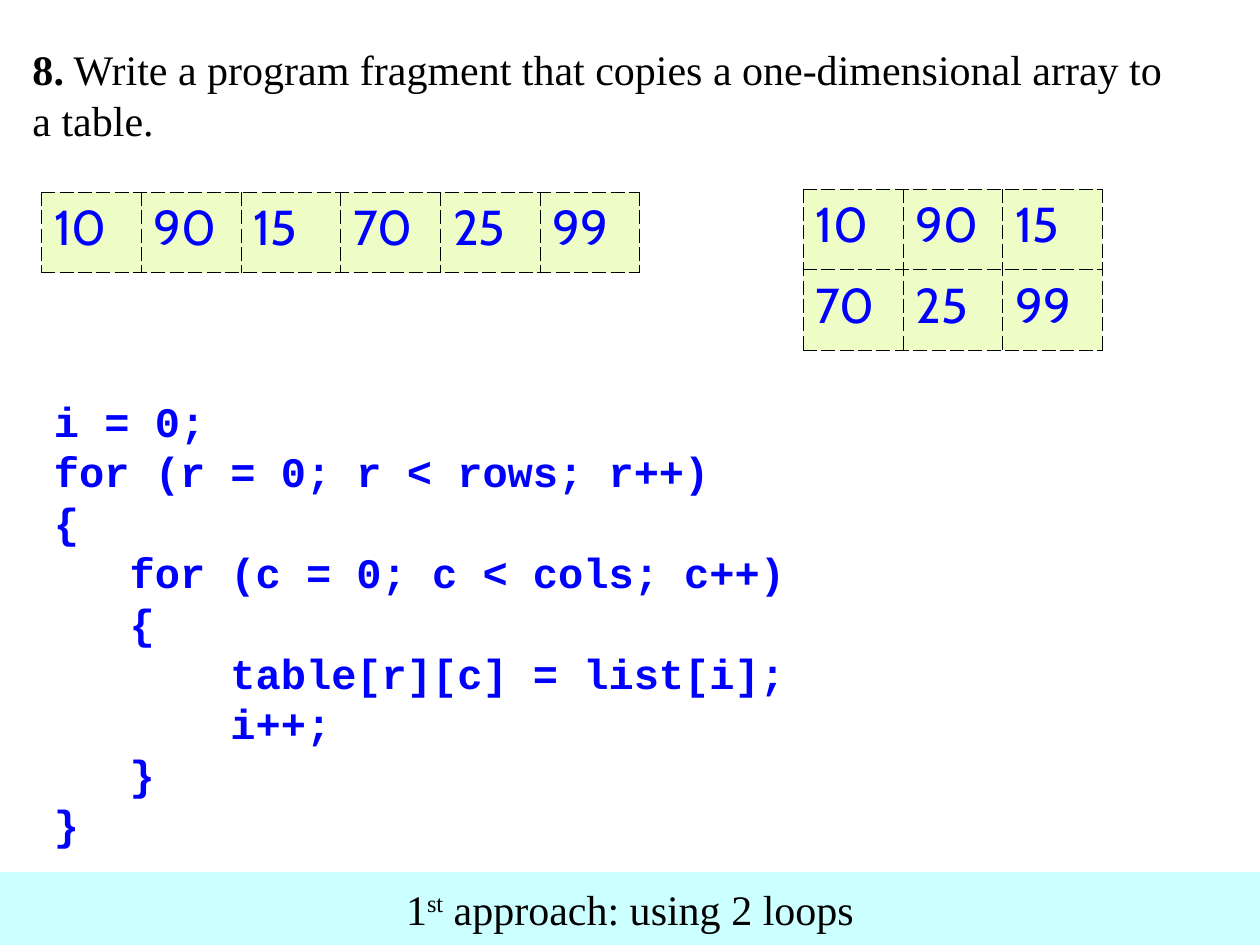
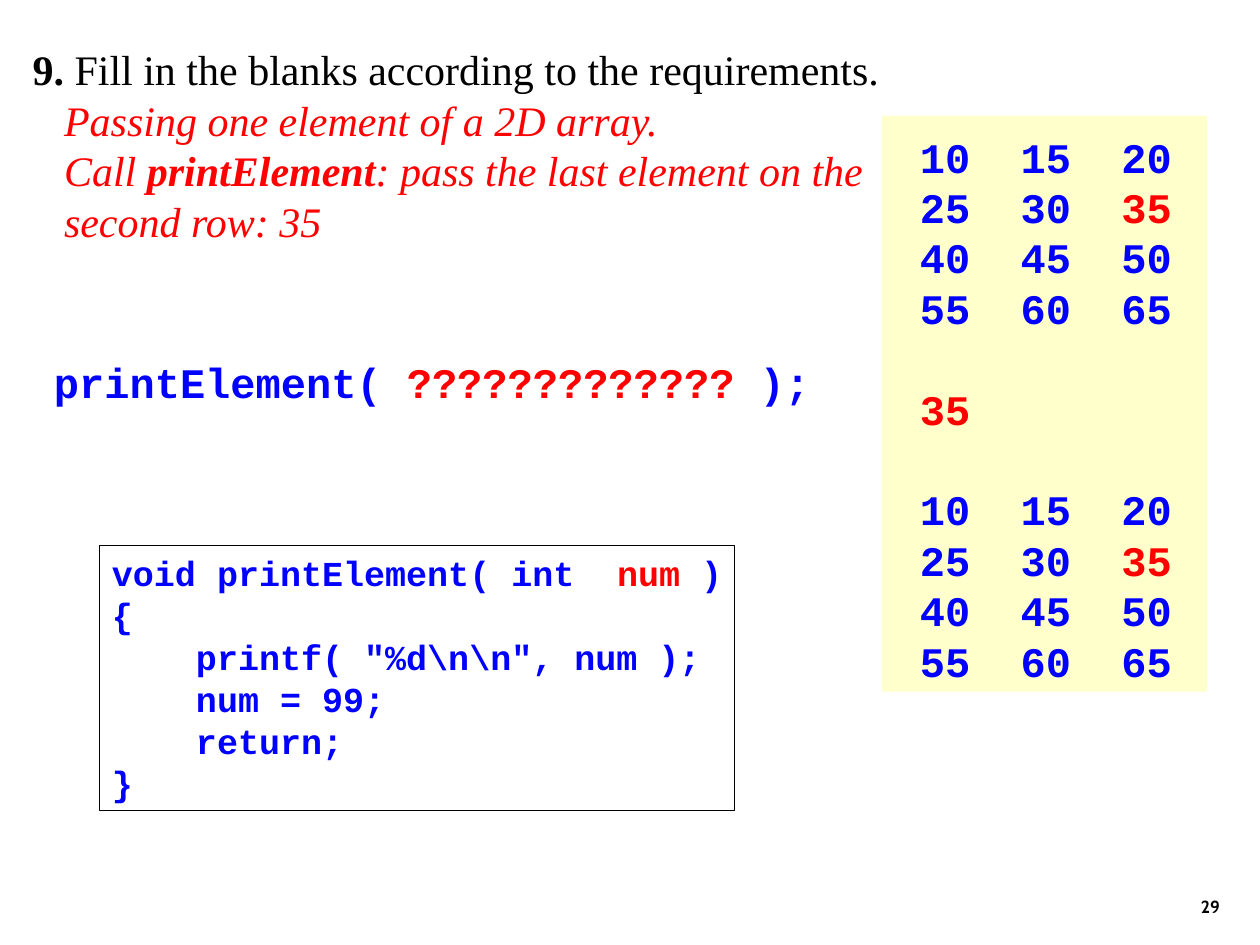
from dataclasses import dataclass

from lxml import etree
from pptx import Presentation
from pptx.dml.color import RGBColor
from pptx.enum.shapes import MSO_SHAPE
from pptx.enum.text import MSO_ANCHOR, PP_ALIGN
from pptx.oxml.ns import qn
from pptx.util import Inches, Pt

RECT = MSO_SHAPE.RECTANGLE
TOP, MIDDLE, BOTTOM = MSO_ANCHOR.TOP, MSO_ANCHOR.MIDDLE, MSO_ANCHOR.BOTTOM
LEFT, CENTER, RIGHT = PP_ALIGN.LEFT, PP_ALIGN.CENTER, PP_ALIGN.RIGHT
WIDTH, HEIGHT = Inches(10), Inches(7.5)
COLUMNS, ROWS = 100, 75


@dataclass(frozen=True)
class Theme:
    black: str = "000000"
    blue: str = "0000FF"
    red: str = "FF0000"
    band: str = "CCFFFF"
    output: str = "FFFFCC"
    cell: str = "EEFDC5"
    serif: str = "Times New Roman"
    mono: str = "Courier New"
    sans: str = "Cabin"
    body: int = 24
    small: int = 20
    number: int = 28
    page: int = 10
    leading: float = 1.2


T = Theme()
PROSE = {"name": T.serif, "size": T.body, "color": T.black}
STRONG = {**PROSE, "bold": True}
HINT = {**PROSE, "color": T.red, "italic": True}
STRONG_HINT = {**HINT, "bold": True}
RAISED = {**PROSE, "baseline": "30000"}
CODE = {"name": T.mono, "size": T.body, "color": T.blue, "bold": True}
MARK = {**CODE, "color": T.red}
SMALL_CODE = {**CODE, "size": T.small}
SMALL_MARK = {**MARK, "size": T.small}
NUMBER = {"name": T.sans, "size": T.number, "color": T.blue}
PAGE = {"name": T.sans, "size": T.page, "color": T.black, "bold": True}

TITLE_BOX = (1.6, 3, 92.7, 9)
HINT_TITLE_BOX = (1.6, 3, 69.2, 17)
LIST_BOX = (3.3, 15.25, 47.5, 6.4)
TABLE_BOX = (63.75, 15, 23.75, 12.8)
LOOPS_BOX = (3.3, 30.9, 62.5, 37)
BAND_BOX = (0, 69.2, 100, 5.8)
OUTPUT_BOX = (70, 9.2, 25.8, 45.7)
CALL_BOX = (3.3, 27.8, 62.5, 5)
FUNCTION_BOX = (7.9, 43.3, 50.4, 21)
PAGE_BOX = (77, 68.3, 20.8, 5)


def across(n):
    return round(WIDTH * n / COLUMNS)


def down(n):
    return round(HEIGHT * n / ROWS)


def place(box):
    x, y, w, h = box
    return across(x), down(y), across(w), down(h)


def rgb(color):
    return RGBColor.from_string(color)


def add_run(p, text, style):
    r = p.add_run()
    r.text = text
    for name, value in style.items():
        if name == "color":
            r.font.color.rgb = rgb(value)
        elif name == "baseline":
            r._r.get_or_add_rPr().set(name, value)
        else:
            setattr(r.font, name, Pt(value) if name == "size" else value)


def write(sp, lines, align=LEFT, anchor=TOP, wrap=True):
    tf = sp.text_frame
    tf.word_wrap, tf.vertical_anchor = wrap, anchor
    for i, runs in enumerate(lines):
        p = tf.add_paragraph() if i else tf.paragraphs[0]
        p.alignment = align
        p.line_spacing = Pt(runs[0][1]["size"] * T.leading)
        for text, style in runs:
            add_run(p, text, style)
    return tf


def add_text(slide, box, lines, **layout):
    return write(slide.shapes.add_textbox(*place(box)), lines, **layout)


def add_panel(slide, box, fill=None, line=None):
    sp = slide.shapes.add_shape(RECT, *place(box))
    sp.shadow.inherit = False
    if fill:
        sp.fill.solid()
        sp.fill.fore_color.rgb = rgb(fill)
    else:
        sp.fill.background()
    if line:
        sp.line.color.rgb = rgb(line)
        sp.line.width = Pt(0.25)
    else:
        sp.line.fill.background()
    return sp


def add_dashed_borders(cell):
    tcPr = cell._tc.get_or_add_tcPr()
    for i, side in enumerate(("lnL", "lnR", "lnT", "lnB")):
        ln = etree.Element(qn("a:" + side), w=str(Pt(0.45)))
        fill = etree.SubElement(ln, qn("a:solidFill"))
        etree.SubElement(fill, qn("a:srgbClr"), val=T.black)
        etree.SubElement(ln, qn("a:prstDash"), val="dash")
        tcPr.insert(i, ln)


def add_grid(slide, box, rows):
    x, y, w, h = place(box)
    table = slide.shapes.add_table(len(rows), len(rows[0]), x, y, w, h).table
    table.first_row = table.horz_banding = False
    for r, values in enumerate(rows):
        for c, value in enumerate(values):
            cell = table.cell(r, c)
            cell.fill.solid()
            cell.fill.fore_color.rgb = rgb(T.cell)
            add_dashed_borders(cell)
            add_run(cell.text_frame.paragraphs[0], str(value), NUMBER)


def add_band(slide, box, runs):
    write(add_panel(slide, box, T.band), [runs], CENTER, MIDDLE, False)


def add_output(slide, box, blocks, marked):
    lines = [[(("\t" if i else "") + str(n), MARK if n == marked else CODE)
              for i, n in enumerate(row)]
             for block in blocks for row in block]
    tf = write(add_panel(slide, box, T.output), lines)
    tf.margin_left, tf.margin_top = across(3), down(1.2)
    starts, count = set(), 0
    for block in blocks[:-1]:
        count += len(block)
        starts.add(count)
    for i, p in enumerate(tf.paragraphs):
        if i in starts:
            p.space_before = Pt(T.body * T.leading)
        tabs = etree.SubElement(p._p.get_or_add_pPr(), qn("a:tabLst"))
        for column in (1, 2):
            etree.SubElement(tabs, qn("a:tab"), pos=str(across(8 * column)), algn="l")


def add_hint_title(slide, box, lines):
    tf = add_text(slide, box, lines, wrap=False)
    for p in tf.paragraphs[1:]:
        pPr = p._p.get_or_add_pPr()
        pPr.set("marL", str(across(2.5)))
        pPr.set("indent", "0")


def code_lines(text, style):
    return [[(line, style)] for line in text.split("\n")]


LOOPS = """i = 0;
for (r = 0; r < rows; r++)
{
   for (c = 0; c < cols; c++)
   {
       table[r][c] = list[i];
       i++;
   }
}"""

FUNCTION_BODY = r"""{
    printf( "%d\n\n", num );
    num = 99;
    return;
}"""


def copy_array_slide(slide):
    values = [10, 90, 15, 70, 25, 99]
    add_text(slide, TITLE_BOX, [
        [("8.", STRONG),
         (" Write a program fragment that copies a one-dimensional array to", PROSE)],
        [("a table.", PROSE)],
    ], wrap=False)
    add_grid(slide, LIST_BOX, [values])
    add_grid(slide, TABLE_BOX, [values[:3], values[3:]])
    add_text(slide, LOOPS_BOX, code_lines(LOOPS, CODE))
    add_band(slide, BAND_BOX, [
        ("1", PROSE), ("st", RAISED), (" approach: using 2 loops", PROSE)])


def pass_element_slide(slide):
    matrix = [[first + 5 * c for c in range(3)] for first in range(10, 70, 15)]
    add_text(slide, PAGE_BOX, [[("29", PAGE)]], align=RIGHT, anchor=BOTTOM)
    add_output(slide, OUTPUT_BOX, [matrix, [[35]], matrix], 35)
    add_text(slide, CALL_BOX, [
        [("printElement( ", CODE), ("?????????????", MARK), (" );", CODE)]])
    write(add_panel(slide, FUNCTION_BOX, line=T.black), [
        [("void printElement( int  ", SMALL_CODE), ("num ", SMALL_MARK), (")", SMALL_CODE)],
        *code_lines(FUNCTION_BODY, SMALL_CODE),
    ], wrap=False)
    add_hint_title(slide, HINT_TITLE_BOX, [
        [("9. ", STRONG), ("Fill in the blanks according to the requirements.", PROSE)],
        [("Passing one element of a 2D array.", HINT)],
        [("Call ", HINT), ("printElement", STRONG_HINT),
         (": pass the last element on the", HINT)],
        [("second row: 35", HINT)],
    ])


def main():
    prs = Presentation()
    prs.slide_width, prs.slide_height = WIDTH, HEIGHT
    blank = prs.slide_layouts[6]
    for build in (copy_array_slide, pass_element_slide):
        build(prs.slides.add_slide(blank))
    prs.save("out.pptx")


if __name__ == "__main__":
    main()
